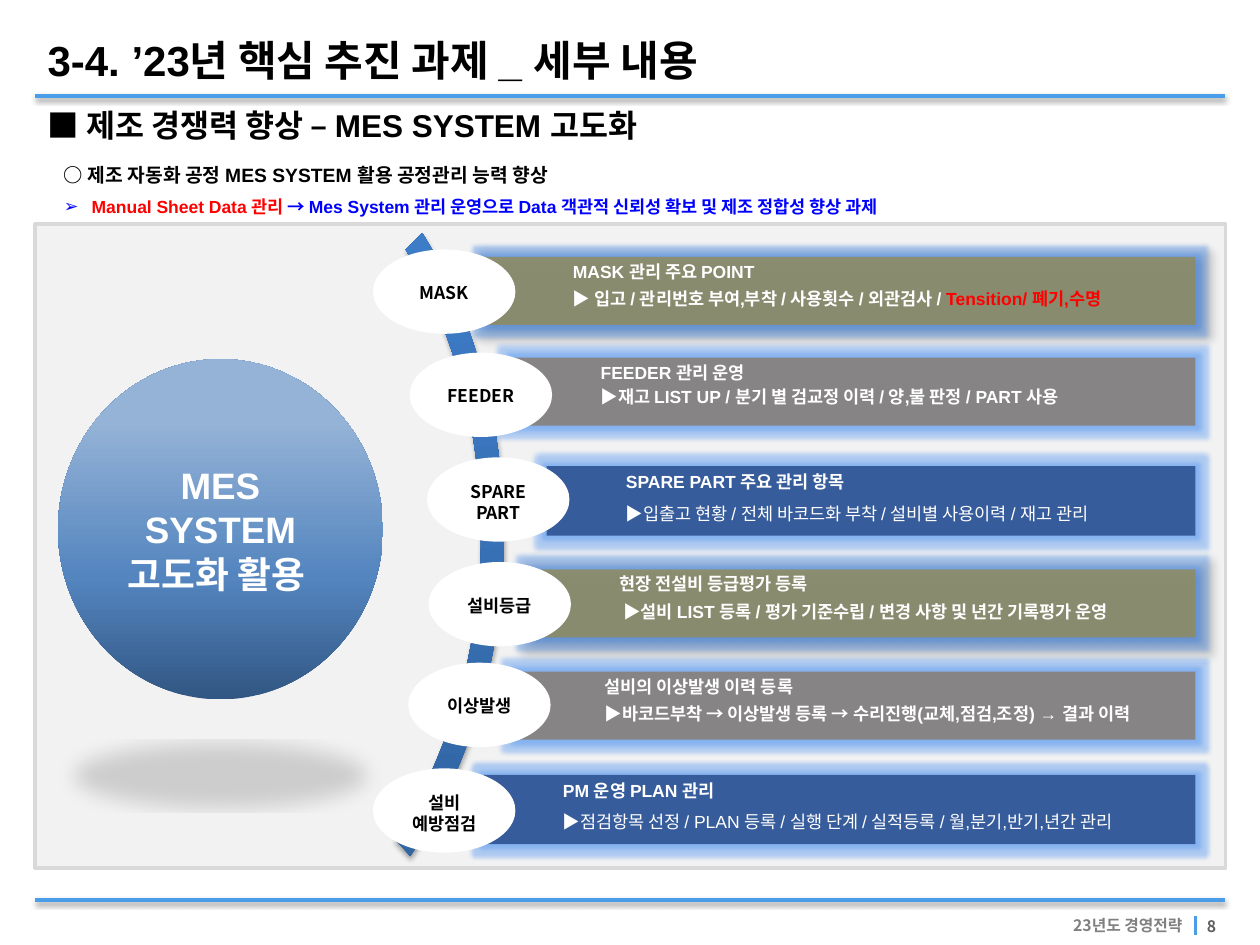
from pptx import Presentation
from pptx.dml.color import RGBColor
from pptx.enum.shapes import MSO_CONNECTOR, MSO_SHAPE
from pptx.enum.text import MSO_ANCHOR, PP_ALIGN
from pptx.oxml import parse_xml
from pptx.oxml.ns import nsdecls, qn
from pptx.util import Cm, Pt

RECT, OVAL, ARC = MSO_SHAPE.RECTANGLE, MSO_SHAPE.OVAL, MSO_SHAPE.BLOCK_ARC
STRAIGHT = MSO_CONNECTOR.STRAIGHT
TOP, MIDDLE = MSO_ANCHOR.TOP, MSO_ANCHOR.MIDDLE
LEFT, CENTER = PP_ALIGN.LEFT, PP_ALIGN.CENTER

BLACK = RGBColor(0x00, 0x00, 0x00)
WHITE = RGBColor(0xFF, 0xFF, 0xFF)
RED = RGBColor(0xFF, 0x00, 0x00)
BLUE = RGBColor(0x00, 0x00, 0xFF)
SKY = RGBColor(0x49, 0x9D, 0xE9)
GLOW = RGBColor(0x4A, 0x90, 0xF0)
PANEL = RGBColor(0xF2, 0xF2, 0xF2)
BORDER = RGBColor(0xD9, 0xD9, 0xD9)
FOOTER = RGBColor(0x80, 0x80, 0x80)
PAGE = RGBColor(0x5F, 0x5F, 0x5F)
GOLD = RGBColor(0x94, 0x8A, 0x54)
GREY = RGBColor(0x86, 0x84, 0x84)
NAVY = RGBColor(0x00, 0x20, 0x60)

KOREAN = "Noto Sans CJK KR"
BAR_RIGHT = 24.1
OVAL_W, OVAL_H = 2.87, 1.7


def shadow(alpha, blur, dist, angle, scale=""):
    return (f'<a:outerShdw {nsdecls("a")} blurRad="{Pt(blur)}" dist="{Pt(dist)}" '
            f'dir="{angle * 60000}" {scale} rotWithShape="0"><a:srgbClr val="000000">'
            f'<a:alpha val="{alpha * 1000}"/></a:srgbClr></a:outerShdw>')


def glow(color, alpha, radius):
    return (f'<a:glow {nsdecls("a")} rad="{Pt(radius)}"><a:srgbClr val="{color}">'
            f'<a:alpha val="{alpha * 1000}"/></a:srgbClr></a:glow>')


def set_effects(sp, effects):
    spPr = sp._element.spPr
    for old in spPr.findall(qn("a:effectLst")):
        spPr.remove(old)
    lst = parse_xml(f'<a:effectLst {nsdecls("a")}/>')
    for effect in effects:
        lst.append(parse_xml(effect))
    spPr.append(lst)


def write(p, text, size=10, color=BLACK, bold=True, font="Arial",
          align=LEFT, spacing=None, before=None, after=None):
    p.alignment = align
    if spacing:
        p.line_spacing = spacing
    if before:
        p.space_before = Pt(before)
    if after:
        p.space_after = Pt(after)
    r = p.add_run()
    r.text = text
    r.font.size, r.font.bold, r.font.name = Pt(size), bold, font
    r.font.color.rgb = color


class Deck:
    def __init__(self, prs):
        self.s = prs.slides.add_slide(prs.slide_layouts[6])

    def line(self, x1, y1, x2, y2, width, effects=()):
        c = self.s.shapes.add_connector(STRAIGHT, Cm(x1), Cm(y1), Cm(x2), Cm(y2))
        c.line.color.rgb, c.line.width = SKY, Pt(width)
        set_effects(c, effects)

    def shape(self, kind, box, fill=None, alpha=None, stops=(), border=None, effects=()):
        sp = self.s.shapes.add_shape(kind, *map(Cm, box))
        if fill is not None:
            sp.fill.solid()
            sp.fill.fore_color.rgb = fill
        if alpha:
            clr = sp._element.spPr.find(qn("a:solidFill"))[0]
            clr.append(parse_xml(f'<a:alpha {nsdecls("a")} val="{alpha * 1000}"/>'))
        if stops:
            gs = "".join(f'<a:gs pos="{pos * 1000}"><a:srgbClr val="{c}"/></a:gs>'
                         for pos, c in stops)
            sp._element.spPr.insert(2, parse_xml(
                f'<a:gradFill {nsdecls("a")} rotWithShape="1"><a:gsLst>{gs}</a:gsLst>'
                '<a:lin ang="16200000" scaled="0"/></a:gradFill>'))
        if border is None:
            sp.line.fill.background()
        else:
            sp.line.color.rgb, sp.line.width = border, Pt(2)
        sp.shadow.inherit = False
        set_effects(sp, effects)
        return sp

    def frame(self, sp, anchor=TOP, insets=(0.25, 0.13, 0.25, 0.13), wrap=True):
        tf = sp.text_frame
        tf.word_wrap, tf.vertical_anchor = wrap, anchor
        tf.margin_left, tf.margin_top, tf.margin_right, tf.margin_bottom = map(Cm, insets)
        return tf

    def text(self, box, lines, anchor=TOP, wrap=True, **style):
        tf = self.frame(self.s.shapes.add_textbox(*map(Cm, box)), anchor, wrap=wrap)
        self.fill_lines(tf, lines, **style)
        return tf

    def fill_lines(self, tf, lines, **style):
        for i, line in enumerate(lines):
            write(tf.paragraphs[0] if i == 0 else tf.add_paragraph(), line, **style)

    def bullet(self, p, char, color, indent):
        pPr = p._p.get_or_add_pPr()
        pPr.set("marL", str(Cm(indent)))
        pPr.set("indent", str(-Cm(indent)))
        for xml in (f'<a:buClr {nsdecls("a")}><a:srgbClr val="{color}"/></a:buClr>',
                    f'<a:buFont {nsdecls("a")} typeface="Arial"/>',
                    f'<a:buChar {nsdecls("a")} char="{char}"/>'):
            pPr.append(parse_xml(xml))

    def bar(self, x, y, fill, title, detail, alert="", spacing=None):
        navy, gold = fill == NAVY, fill == GOLD
        effects = [glow(GLOW, 40, 5)] + ([shadow(40, 4, 3, 45)] if gold else [])
        alpha = 78 if gold else 59 if navy else None
        sp = self.shape(RECT, (x, y, BAR_RIGHT - x, 1.4 if navy else 1.37),
                        fill, alpha, effects=effects)
        tf = self.frame(sp, insets=(1.6, 0.1, 0, 0.1) if navy else (1.8, 0.08, 0.08, 0.08))
        after = None if navy else 3.5
        write(tf.paragraphs[0], title, color=WHITE, after=after)
        p = tf.add_paragraph()
        write(p, detail, color=WHITE, bold=not navy, spacing=spacing,
              before=6 if navy else None, after=after)
        if alert:
            write(p, alert, color=RED, after=after)

    def label(self, x, y, lines):
        self.shape(OVAL, (x, y, OVAL_W, OVAL_H), WHITE)
        w, h, drop = (2.01, 0.69, 0.53) if len(lines) == 1 else (2.72, 1.12, 0.34)
        self.text((x + (OVAL_W - w) / 2, y + drop, w, h), lines,
                  font=KOREAN, align=CENTER)


TASKS = [
    (("MASK",), (7.52, 5.03), (9.75, 5.18, GOLD), "MASK 관리 주요 POINT",
     "▶ 입고 / 관리번호 부여,부착 / 사용횟수 / 외관검사 / ",
     {"alert": "Tensition/ 폐기,수명"}),
    (("FEEDER",), (8.26, 7.11), (10.31, 7.21, GREY), "FEEDER 관리 운영",
     "▶재고 LIST UP / 분기 별 검교정 이력 / 양,불 판정 / PART 사용", {"spacing": 0.9}),
    (("SPARE", "PART"), (8.61, 9.22), (11.02, 9.4, NAVY), "SPARE PART 주요 관리 항목",
     "▶입출고 현황 / 전체 바코드화 부착 / 설비별 사용이력 / 재고 관리", {}),
    (("설비등급",), (8.64, 11.33), (10.69, 11.48, GOLD), "현장 전설비 등급평가 등록",
     " ▶설비 LIST 등록 / 평가 기준수립 / 변경 사항 및 년간 기록평가 운영", {}),
    (("이상발생",), (8.23, 13.36), (10.39, 13.54, GREY), "설비의 이상발생 이력 등록",
     "▶바코드부착 → 이상발생 등록 → 수리진행(교체,점검,조정) → 결과 이력", {}),
    (("설비", "예방점검"), (7.52, 15.49), (9.75, 15.62, NAVY), "PM 운영 PLAN 관리",
     "▶점검항목 선정 / PLAN 등록 / 실행 단계 / 실적등록 / 월,분기,반기,년간 관리", {}),
]


def main():
    prs = Presentation()
    prs.slide_width, prs.slide_height = Cm(25.4), Cm(19.05)
    d = Deck(prs)

    for y in (1.93, 18.14):
        d.line(24.69, y, 0.71, y, 2, [shadow(38, 3.1, 1.6, 90)])
    d.text((24.08, 18.47, 1.12, 0.51), ["8"], MIDDLE,
           size=9, font=KOREAN, color=PAGE, spacing=0.6)
    d.text((21.11, 18.34, 3.25, 0.64), ["23년도 경영전략"], MIDDLE, wrap=False,
           size=9, font=KOREAN, color=FOOTER, align=CENTER)
    d.line(24.1, 18.47, 24.1, 18.85, 2.25)

    d.shape(RECT, (0.71, 4.52, 24, 12.98), PANEL, border=BORDER)
    d.text((0.71, 0.71, 16.61, 1.14), ["3-4. ’23년 핵심 추진 과제 _ 세부 내용"],
           MIDDLE, size=24, spacing=0.85)
    d.text((0.71, 2.01, 19.61, 1.14), ["■ 제조 경쟁력 향상 – MES SYSTEM 고도화"],
           MIDDLE, size=18, spacing=0.85)

    arc = d.shape(ARC, (-5.31, 0.91, 15.47, 19.76),
                  stops=[(0, "2F5F99"), (80, "3D7CC7"), (100, "3A7CCB")],
                  effects=[shadow(35, 3.1, 1.8, 90)])
    for i, value in enumerate((189, 28.74, 0.03)):
        arc.adjustments[i] = value

    circle = d.shape(OVAL, (1.17, 7.24, 6.55, 6.86),
                     stops=[(0, "315683"), (36, "5485BF"), (82, "95B3D7")],
                     effects=[shadow(15, 12, 25, 90, 'sx="90000" sy="-19000"')])
    d.fill_lines(d.frame(circle, MIDDLE, (0, 0, 0, 0)), ["MES", "SYSTEM", "고도화 활용 "],
                 size=21, color=WHITE, align=CENTER)

    for label, oval, bar, title, detail, options in TASKS:
        d.bar(*bar, title, detail, **options)
        d.label(*oval, label)

    tf = d.text((1.04, 2.92, 18.44, 1.6),
                ["○ 제조 자동화 공정 MES SYSTEM 활용 공정관리 능력 향상"], size=11, spacing=1.5)
    p = tf.add_paragraph()
    p.line_spacing = 1.5
    d.bullet(p, "➢", BLUE, 0.56)
    write(p, "Manual Sheet Data 관리 ", color=RED)
    write(p, "→ Mes System 관리 운영으로 Data 객관적 신뢰성 확보 및 제조 정합성 향상 과제",
          color=BLUE)

    prs.save("out.pptx")


if __name__ == "__main__":
    main()
